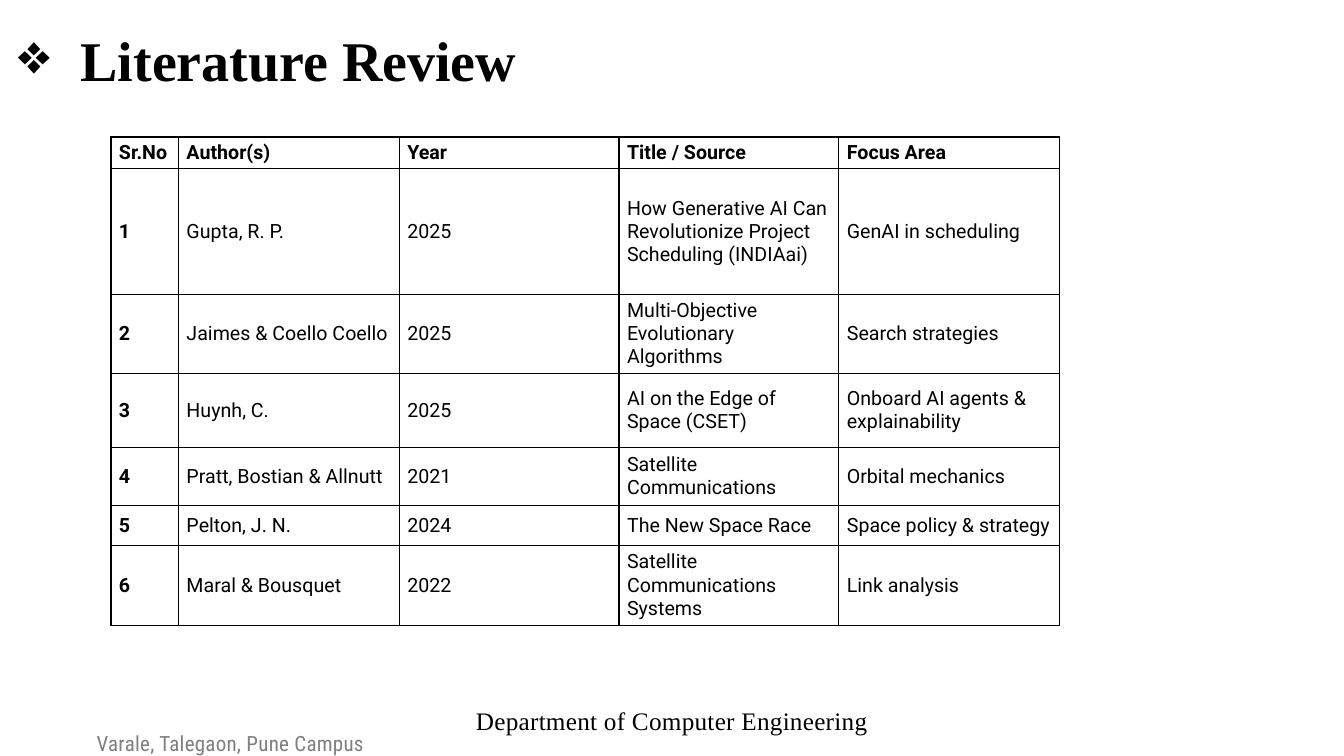
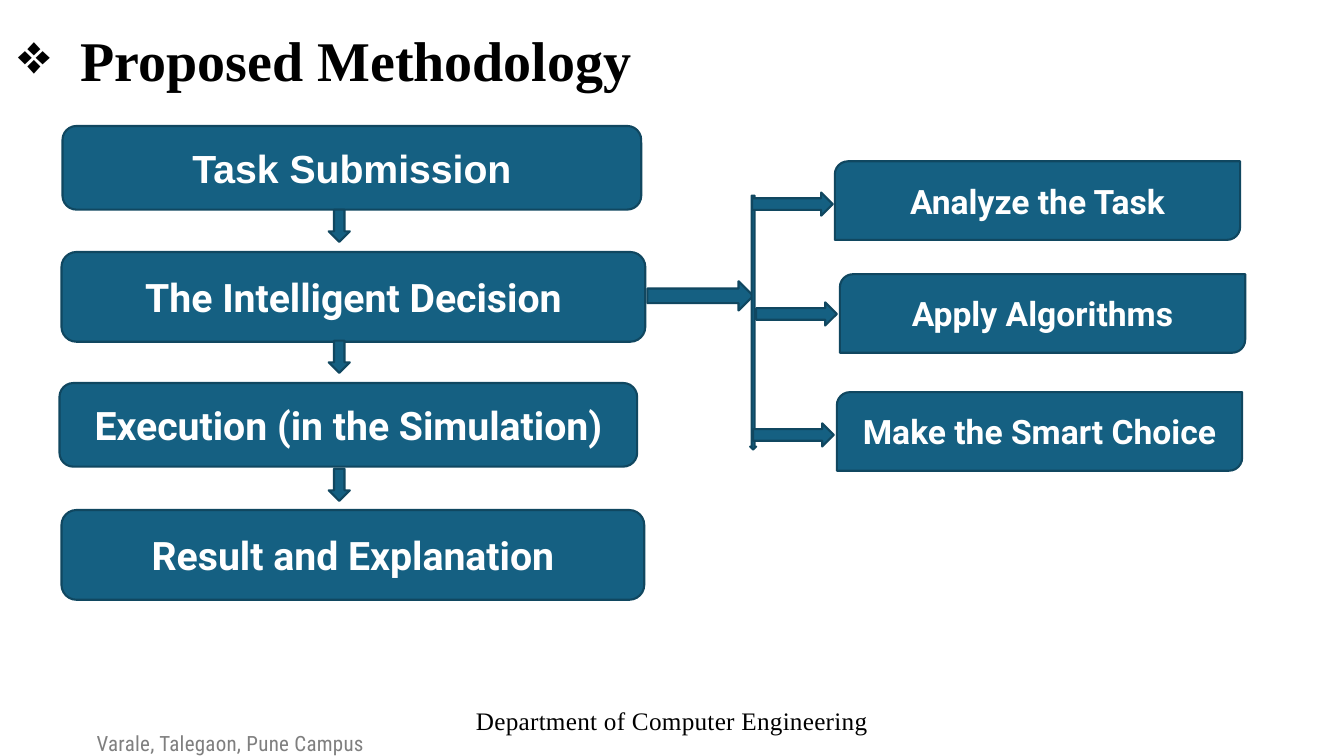
import pptx
import pptx.util
import pptx.dml.color
import pptx.enum.shapes
import pptx.enum.text
import pptx.oxml
import pptx.oxml.ns
from lxml import etree

PX = 9144  # EMU in one px, 100 px to the inch
qn = pptx.oxml.ns.qn
Pt = pptx.util.Pt
Shape = pptx.enum.shapes.MSO_SHAPE
Align = pptx.enum.text.PP_ALIGN
Anchor = pptx.enum.text.MSO_ANCHOR


def px(*sizes):
    return [pptx.util.Emu(size * PX) for size in sizes]


def color(code):
    return pptx.dml.color.RGBColor.from_string(code)


def child(parent, tag, **attrs):
    return etree.SubElement(parent, qn(tag), attrs)


def write(frame, text, font="Roboto", size=14, ink="000000", bold=False,
          align=Align.LEFT, anchor=Anchor.MIDDLE, lines=None, space=None,
          bullet=None, hang=0):
    frame.word_wrap = True
    frame.vertical_anchor = anchor
    para = frame.paragraphs[0]
    if bullet:
        props = para._p.get_or_add_pPr()
        props.set("marL", str(hang * PX))
        props.set("indent", str(-hang * PX))
        child(child(props, "a:buClr"), "a:srgbClr", val=ink)
        child(props, "a:buChar", char=bullet)
    para.alignment = align
    if lines:
        para.line_spacing = lines
    run = para.add_run()
    run.text = text
    run.font.name = font
    run.font.size = Pt(size)
    run.font.bold = bold
    run.font.color.rgb = color(ink)
    if space:
        run._r.get_or_add_rPr().set("spc", str(space))


class Deck:
    black, grey, white = "000000", "7F7F7F", "FFFFFF"
    teal, edge = "156082", "104760"
    serif = "Times New Roman"

    def __init__(self):
        self.show = pptx.Presentation()
        self.show.slide_width, self.show.slide_height = px(1333, 750)
        self.slide = None

    # Slide with its title and footers
    def page(self, title):
        self.slide = self.show.slides.add_slide(self.show.slide_layouts[5])
        self.foot("Varale, Talegaon, Pune Campus", (18, 715, 421, 31),
                  font="Roboto Condensed", size=15, ink=self.grey,
                  lines=Pt(25.2))
        self.foot("Department of Computer Engineering", (308, 693, 717, 74),
                  font=self.serif, size=18, lines=Pt(26.4))
        head = self.slide.shapes.title
        head.left, head.top, head.width, head.height = px(8, 0, 1326, 98)
        head.text_frame.auto_size = pptx.enum.text.MSO_AUTO_SIZE.NONE
        write(head.text_frame, title, font=self.serif, size=40, bold=True,
              anchor=Anchor.BOTTOM, lines=0.9, bullet="❖", hang=62)

    def foot(self, text, place, **style):
        frame = self.slide.shapes.add_textbox(*px(*place)).text_frame
        frame.margin_left = frame.margin_right = 0
        frame.margin_top = frame.margin_bottom = 0
        write(frame, text, align=Align.CENTER, anchor=Anchor.TOP,
              space=20, **style)

    # Filled shape, with or without text
    def block(self, kind, place, text=None, **style):
        shape = self.slide.shapes.add_shape(kind, *px(*place))
        shape.shadow.inherit = False
        shape.fill.solid()
        shape.fill.fore_color.rgb = color(self.teal)
        shape.line.color.rgb = color(self.edge)
        shape.line.width = Pt(1.5)
        if text:
            write(shape.text_frame, text, ink=self.white, bold=True,
                  align=Align.CENTER, **style)

    # Ruled table with a bold first row and column
    def table(self, left, top, widths, heights, rows):
        table = self.slide.shapes.add_table(
            len(rows), len(widths),
            *px(left, top, sum(widths), sum(heights))).table
        table.horz_banding = table.first_row = False
        for col, width in zip(table.columns, px(*widths)):
            col.width = width
        for row, height in zip(table.rows, px(*heights)):
            row.height = height
        for r, row in enumerate(rows):
            for c, text in enumerate(row):
                cell = table.cell(r, c)
                cell.margin_left, cell.margin_right = px(8, 8)
                cell.margin_top, cell.margin_bottom = px(4, 4)
                cell.vertical_anchor = Anchor.MIDDLE
                write(cell.text_frame, text, bold=r == 0 or c == 0)
                self.rule(cell)
                cell.fill.background()

    def rule(self, cell):
        props = cell._tc.get_or_add_tcPr()
        for side in "LRTB":
            line = child(props, "a:ln" + side, w=str(Pt(1)))
            fill = child(line, "a:solidFill")
            child(fill, "a:srgbClr", val=self.black)


def review(deck):
    deck.page("Literature Review")
    deck.table(110, 136, [67, 219, 218, 218, 219],
               [31, 125, 74, 74, 57, 40, 79], [
        ("Sr.No", "Author(s)", "Year", "Title / Source", "Focus Area"),
        ("1", "Gupta, R. P.", "2025",
         "How Generative AI Can Revolutionize Project Scheduling (INDIAai)",
         "GenAI in scheduling"),
        ("2", "Jaimes & Coello Coello", "2025",
         "Multi-Objective Evolutionary Algorithms", "Search strategies"),
        ("3", "Huynh, C.", "2025", "AI on the Edge of Space (CSET)",
         "Onboard AI agents & explainability"),
        ("4", "Pratt, Bostian & Allnutt", "2021",
         "Satellite Communications", "Orbital mechanics"),
        ("5", "Pelton, J. N.", "2024", "The New Space Race",
         "Space policy & strategy"),
        ("6", "Maral & Bousquet", "2022",
         "Satellite Communications Systems", "Link analysis"),
    ])


def method(deck):
    deck.page("Proposed Methodology")

    # Main steps
    for text, place, font in (
            ("Task Submission", (62, 125, 574, 83), "Arial"),
            ("The Intelligent Decision", (61, 250, 579, 89), "Roboto"),
            ("Execution (in the Simulation)", (59, 380, 573, 83), "Roboto"),
            ("Result and Explanation", (61, 506, 578, 89), "Roboto")):
        deck.block(Shape.ROUNDED_RECTANGLE, place, text, font=font, size=28)
    for top in (208, 338, 465):
        deck.block(Shape.DOWN_ARROW, (326, top, 21, 32))

    # Parts of the decision
    for text, left, top in (("Analyze the Task", 828, 160),
                            ("Apply Algorithms", 833, 272),
                            ("Make the Smart Choice", 830, 389)):
        deck.block(Shape.ROUND_2_DIAG_RECTANGLE, (left, top, 402, 78), text,
                   size=24)

    # Branch from the decision to its parts
    deck.block(Shape.RIGHT_ARROW, (642, 279, 105, 29))
    deck.block(Shape.DOWN_ARROW, (744, 194, 6, 252))
    for left, top in ((746, 191), (750, 300), (747, 420)):
        deck.block(Shape.RIGHT_ARROW, (left, top, 80, 23))


def main():
    deck = Deck()
    review(deck)
    method(deck)
    deck.show.save("out.pptx")


if __name__ == "__main__":
    main()
